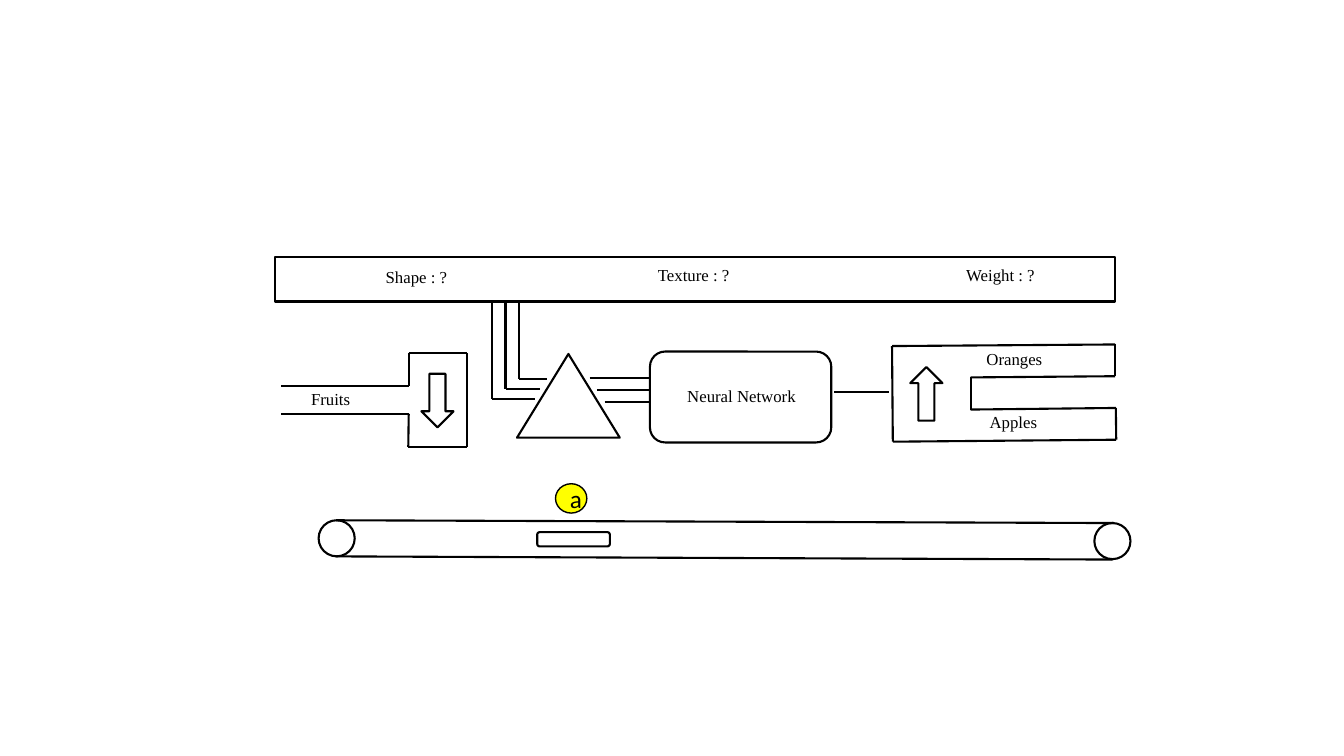
from itertools import pairwise
from lxml import etree
from pptx import Presentation
from pptx.dml.color import RGBColor
from pptx.enum.shapes import MSO_CONNECTOR, MSO_SHAPE as SH
from pptx.enum.text import MSO_ANCHOR, PP_ALIGN
from pptx.oxml.ns import qn
from pptx.util import Cm, Pt

BLACK = RGBColor(0x00, 0x00, 0x00)
WHITE = RGBColor(0xFF, 0xFF, 0xFF)
YELLOW = RGBColor(0xFF, 0xFF, 0x00)

SHAPES = [
    (SH.RECTANGLE, 6.93, 6.48, 21.18, 1.12, 0),
    (SH.ISOSCELES_TRIANGLE, 13.03, 8.92, 2.59, 2.11, 0),
    (SH.FLOWCHART_ALTERNATE_PROCESS, 16.38, 8.86, 4.57, 2.29, 0),
    (SH.DOWN_ARROW, 10.62, 9.42, 0.81, 1.35, 0),
    (SH.DOWN_ARROW, 22.94, 9.25, 0.81, 1.35, 180),
    (SH.OVAL, 8.03, 13.11, 0.91, 0.91, 0),
    (SH.OVAL, 27.58, 13.18, 0.91, 0.91, 0),
    (SH.ROUNDED_RECTANGLE, 13.54, 13.41, 1.83, 0.36, 0),
]
LABELS = [
    ("Shape : ?", 9.47, 6.6, 2.46),
    ("Texture : ?", 16.33, 6.55, 2.46),
    ("Weight : ?", 24.1, 6.55, 2.46),
    ("Neural Network", 17.07, 9.6, 3.45),
    ("Oranges", 24.61, 8.66, 3.45),
    ("Apples", 24.69, 10.24, 3.45),
    ("Fruits", 7.59, 9.68, 2.08),
]
FRUIT = ("a", 14, 12.19, 0.79, 0.74)

INLET = [(7.09, 9.73), (10.3, 9.73), (10.3, 8.89), (11.77, 8.89),
         (11.77, 11.26), (10.29, 11.26), (10.3, 10.43), (7.09, 10.43)]
SORTER = [(22.48, 8.72), (22.5, 11.13), (28.13, 11.08), (28.12, 10.28),
          (24.46, 10.32), (24.46, 9.51), (28.1, 9.48), (28.1, 8.68),
          (22.48, 8.72)]
OUTPUT = [(21.03, 9.88), (22.4, 9.88)]
BELT = [[(8.47, 13.11), (28.07, 13.18)], [(8.46, 14.02), (28.04, 14.1)]]
SENSOR_ENDS = [13.49, 13.61, 13.79]
NETWORK_STARTS = [(14.86, 9.53), (15.04, 9.82), (15.24, 10.13)]
BAR_BOTTOM, NETWORK_LEFT = 7.61, 16.38


def add_shape(s, kind, x, y, w, h, fill=WHITE, weight=1.5):
    """Add an outlined preset shape."""
    sp = s.shapes.add_shape(kind, Cm(x), Cm(y), Cm(w), Cm(h))
    sp.shadow.inherit = False
    sp.fill.solid()
    sp.fill.fore_color.rgb = fill
    sp.line.color.rgb = BLACK
    sp.line.width = Pt(weight)
    return sp


def add_path(s, points):
    """Join consecutive points with straight connectors."""
    for (x1, y1), (x2, y2) in pairwise(points):
        c = s.shapes.add_connector(MSO_CONNECTOR.STRAIGHT,
                                   Cm(x1), Cm(y1), Cm(x2), Cm(y2))
        c.line.color.rgb = BLACK
        c.line.width = Pt(1.5)
        etree.SubElement(c._element.spPr, qn("a:effectLst"))


def add_run(p, text, font, size):
    """Add one black run to a paragraph."""
    r = p.add_run()
    r.text = text
    r.font.name = font
    r.font.size = Pt(size)
    r.font.color.rgb = BLACK


def build():
    """Build the fruit sorting diagram."""
    prs = Presentation()
    prs.slide_width, prs.slide_height = Cm(33.87), Cm(19.05)
    s = prs.slides.add_slide(prs.slide_layouts[6])

    for *box, rotation in SHAPES:
        add_shape(s, *box).rotation = rotation

    wires = []
    for i, end in enumerate(SENSOR_ENDS):
        x, y = 12.41 + 0.33 * i, 10.06 - 0.26 * i
        wires.append([(x, BAR_BOTTOM), (x, y), (end, y)])
    wires += [[(x, y), (NETWORK_LEFT, y)] for x, y in NETWORK_STARTS]
    for points in [INLET, SORTER, OUTPUT, *BELT, *wires]:
        add_path(s, points)

    for text, x, y, w in LABELS:
        tf = s.shapes.add_textbox(Cm(x), Cm(y), Cm(w), Cm(0.77)).text_frame
        tf.word_wrap = True
        add_run(tf.paragraphs[0], text, "Times New Roman", 12)

    text, *box = FRUIT
    tf = add_shape(s, SH.OVAL, *box, fill=YELLOW, weight=1).text_frame
    tf.vertical_anchor = MSO_ANCHOR.MIDDLE
    p = tf.paragraphs[0]
    p.alignment = PP_ALIGN.CENTER
    add_run(p, text, "Calibri", 18)
    prs.save("out.pptx")


build()
